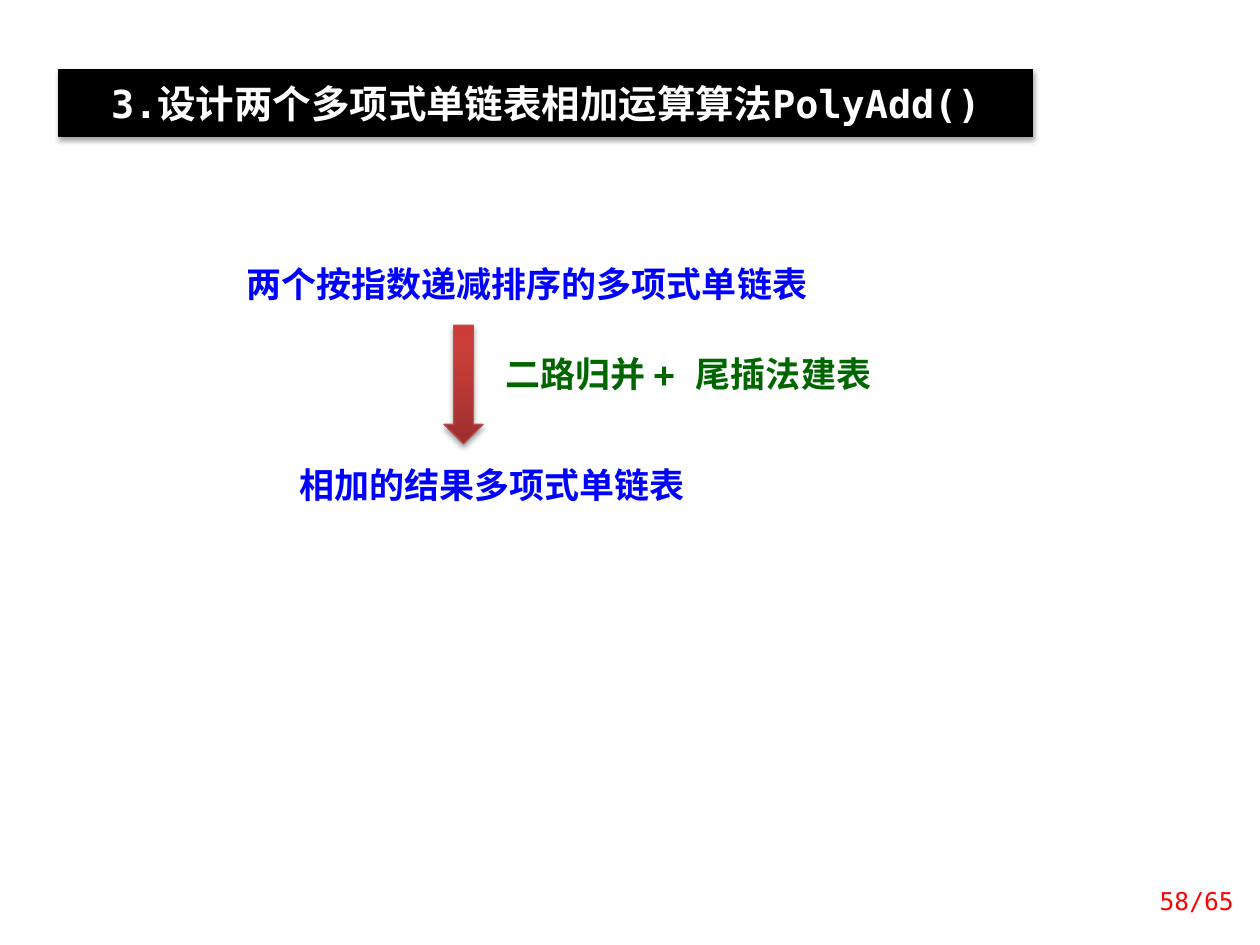
from dataclasses import dataclass

from lxml import etree
from pptx import Presentation
from pptx.dml.color import RGBColor
from pptx.enum.shapes import MSO_SHAPE
from pptx.enum.text import MSO_ANCHOR, PP_ALIGN
from pptx.oxml import parse_xml
from pptx.oxml.ns import nsdecls, qn
from pptx.util import Cm, Pt

LEFT, CENTER, RIGHT = PP_ALIGN.LEFT, PP_ALIGN.CENTER, PP_ALIGN.RIGHT
MIDDLE = MSO_ANCHOR.MIDDLE
RECT, DOWN_ARROW = MSO_SHAPE.RECTANGLE, MSO_SHAPE.DOWN_ARROW


@dataclass(frozen=True)
class Theme:
    mono: str = "DejaVu Sans Mono"
    cjk: str = "Noto Sans CJK SC"
    title_size: int = 22
    body_size: int = 20
    page_size: int = 14
    black: str = "000000"
    white: str = "FFFFFF"
    blue: str = "0000FF"
    green: str = "006600"
    red: str = "FF0000"
    arrow_line: str = "BF4C48"
    arrow_stops: tuple = ((0, "9C2F2D"), (80, "CB3E3A"), (100, "CE3B37"))


T = Theme()


def set_text(sp, text, size=T.body_size, color=T.blue, bold=True,
             latin=T.cjk, align=CENTER, spacing=None, inset=0.13):
    tf = sp.text_frame
    tf.word_wrap = True
    tf.vertical_anchor = MIDDLE
    tf.margin_left = tf.margin_right = Cm(0.25)
    tf.margin_top = tf.margin_bottom = Cm(inset)
    p = tf.paragraphs[0]
    p.alignment = align
    p.space_before = Pt(0)
    if spacing:
        p.line_spacing = spacing
    r = p.add_run()
    r.text = text
    r.font.size, r.font.bold, r.font.name = Pt(size), bold, latin
    r.font.color.rgb = RGBColor.from_string(color)
    etree.SubElement(r.font._element, qn("a:ea")).set("typeface", T.cjk)


def set_fill(sp, color):
    sp.fill.solid()
    sp.fill.fore_color.rgb = RGBColor.from_string(color)


def set_line(sp, color):
    sp.line.color.rgb = RGBColor.from_string(color)
    sp.line.width = Pt(0.75)


def add_shadow(sp):
    """Soft shadow falling straight down."""
    sp.shadow.inherit = False
    effects = sp._element.spPr.find(qn("a:effectLst"))
    effects.append(parse_xml(
        f'<a:outerShdw {nsdecls("a")} blurRad="{Pt(3.1)}" dist="{Pt(1.8)}" '
        'dir="5400000" rotWithShape="0"><a:srgbClr val="000000">'
        '<a:alpha val="35000"/></a:srgbClr></a:outerShdw>'))


def set_gradient(sp, stops):
    """Vertical gradient, first stop at the bottom."""
    sp.fill.gradient()
    sp.fill.gradient_angle = 90
    gs_list = sp._element.spPr.find(qn("a:gradFill")).find(qn("a:gsLst"))
    for gs in list(gs_list):
        gs_list.remove(gs)
    for pos, color in stops:
        gs_list.append(parse_xml(
            f'<a:gs {nsdecls("a")} pos="{pos * 1000}">'
            f'<a:srgbClr val="{color}"/></a:gs>'))


def title_bar(s, x, y, w, h):
    sp = s.shapes.title
    sp.left, sp.top, sp.width, sp.height = Cm(x), Cm(y), Cm(w), Cm(h)
    set_fill(sp, T.black)
    set_line(sp, T.black)
    add_shadow(sp)
    set_text(sp, "3.设计两个多项式单链表相加运算算法PolyAdd()", size=T.title_size,
             color=T.white, latin=T.mono, inset=0.2)


def merge_flow(s, x, y):
    """Input list, arrow with its method, and result list."""
    # Input and result
    for dx, dy, w, text in ((0, 0, 12.9, "两个按指数递减排序的多项式单链表"),
                            (1.19, 4.04, 9.12, "相加的结果多项式单链表")):
        sp = s.shapes.add_shape(RECT, Cm(x + dx), Cm(y + dy), Cm(w), Cm(1.12))
        sp.shadow.inherit = False
        sp.line.fill.background()
        set_fill(sp, T.white)
        set_text(sp, text)
    # Arrow
    sp = s.shapes.add_shape(DOWN_ARROW, Cm(x + 4.78), Cm(y + 1.4),
                            Cm(0.79), Cm(2.39))
    set_gradient(sp, T.arrow_stops)
    set_line(sp, T.arrow_line)
    add_shadow(sp)
    # Method
    sp = s.shapes.add_textbox(Cm(x + 5.77), Cm(y + 1.98), Cm(8.94), Cm(0.94))
    set_text(sp, "二路归并 + 尾插法建表", color=T.green, latin=T.mono,
             align=LEFT, spacing=0.8)


def page_number(s, x, y, w, h):
    sp = s.shapes.add_textbox(Cm(x), Cm(y), Cm(w), Cm(h))
    set_text(sp, "58/65", size=T.page_size, color=T.red, bold=False,
             latin=T.mono, align=RIGHT)


def main():
    prs = Presentation()
    prs.slide_width, prs.slide_height = Cm(25.4), Cm(19.05)
    s = prs.slides.add_slide(prs.slide_layouts[5])
    title_bar(s, 1.19, 1.4, 19.63, 1.35)
    merge_flow(s, 4.17, 5.16)
    page_number(s, 22.81, 17.65, 2.31, 1.02)
    prs.save("out.pptx")


if __name__ == "__main__":
    main()
